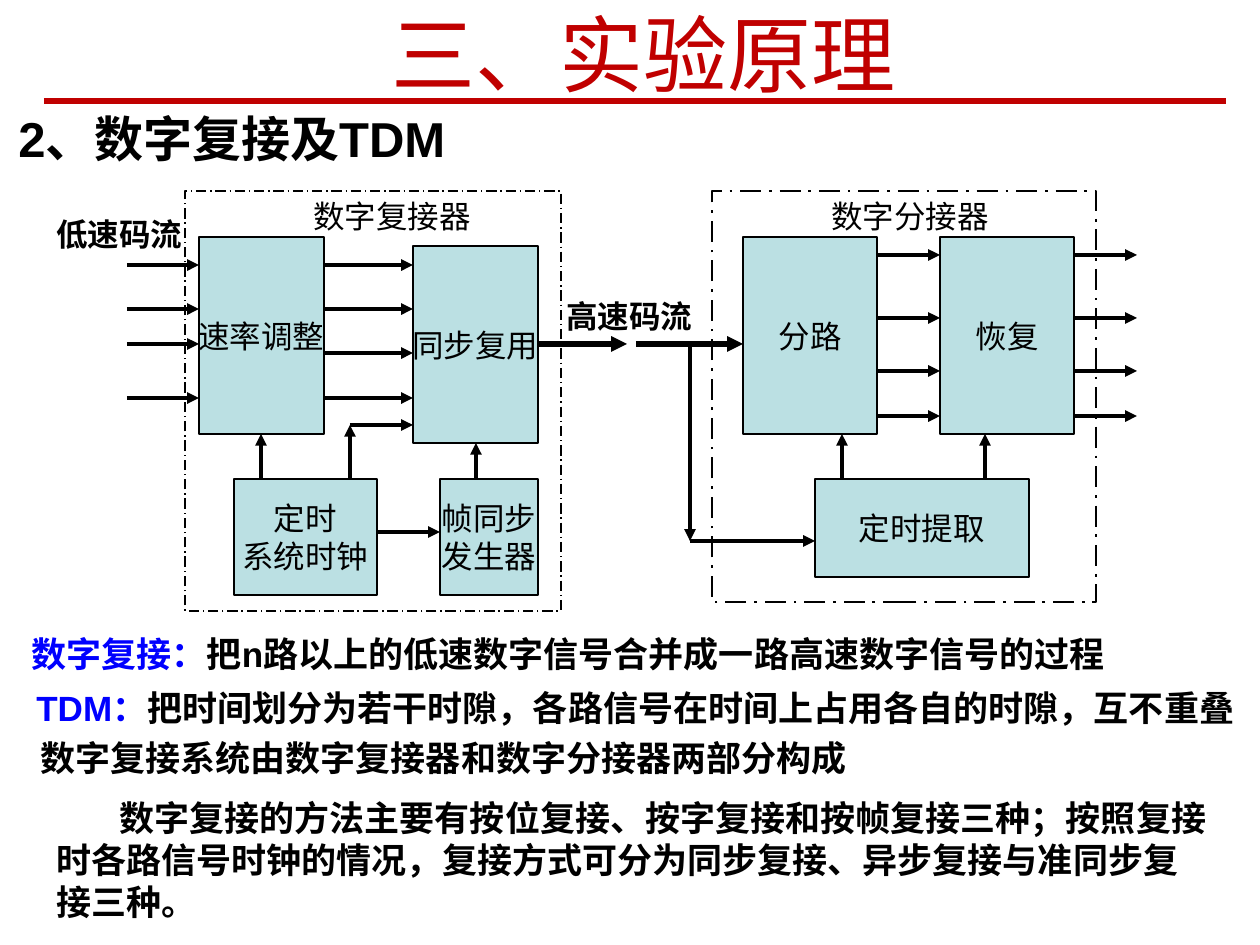
from lxml.etree import SubElement
from pptx import Presentation
from pptx.dml.color import RGBColor
from pptx.enum.dml import MSO_LINE
from pptx.enum.lang import MSO_LANGUAGE_ID
from pptx.enum.shapes import MSO_CONNECTOR, MSO_SHAPE
from pptx.enum.text import MSO_ANCHOR, MSO_AUTO_SIZE, PP_ALIGN
from pptx.oxml.ns import qn
from pptx.util import Emu, Pt

SCALE = 914400 / 126
COLORS = {"ink": "000000", "block": "BBE0E3", "title": "C00000", "term": "0000FF"}
CJK_FONT = "Noto Sans CJK SC"


def px(length):
    return Emu(round(length * SCALE))


def color(name):
    return RGBColor.from_string(COLORS[name])


def style_run(span, size, ink="ink", bold=False, font="Arial"):
    span.font.name = font
    span.font.size = Pt(size)
    span.font.bold = bold
    span.font.color.rgb = color(ink)
    span.font.language_id = MSO_LANGUAGE_ID.SIMPLIFIED_CHINESE
    SubElement(span.font._element, qn("a:ea"), typeface=CJK_FONT)


def add_text(page, box, parts, size, bold=False, wrap=True, anchor=MSO_ANCHOR.TOP):
    """Add one paragraph from (wording, colour name) parts."""
    label = page.shapes.add_textbox(*map(px, box))
    frame = label.text_frame
    frame.word_wrap = wrap
    frame.auto_size = MSO_AUTO_SIZE.SHAPE_TO_FIT_TEXT
    frame.vertical_anchor = anchor
    para = frame.paragraphs[0]
    for wording, ink in parts:
        span = para.add_run()
        span.text = wording
        style_run(span, size, ink, bold)
    return para


def add_label(page, box, wording, bold=False):
    add_text(page, box, [(wording, "ink")], 18, bold, wrap=False)


def add_line(page, start, end, width=2.25, ink="ink", arrow=True):
    line = page.shapes.add_connector(MSO_CONNECTOR.STRAIGHT, *map(px, (*start, *end)))
    line.line.width = Pt(width)
    line.line.color.rgb = color(ink)
    if arrow:
        SubElement(line.line._get_or_add_ln(), qn("a:tailEnd"), type="triangle")
    SubElement(line._element.spPr, qn("a:effectLst"))


def add_rectangle(page, box, width):
    shape = page.shapes.add_shape(MSO_SHAPE.RECTANGLE, *map(px, box))
    shape.shadow.inherit = False
    shape.line.color.rgb = color("ink")
    shape.line.width = Pt(width)
    return shape


def add_block(page, box, wording):
    block = add_rectangle(page, box, 0.75)
    block.fill.solid()
    block.fill.fore_color.rgb = color("block")
    frame = block.text_frame
    frame.text = wording
    frame.word_wrap = False
    frame.vertical_anchor = MSO_ANCHOR.MIDDLE
    for para in frame.paragraphs:
        para.alignment = PP_ALIGN.CENTER
        for span in para.runs:
            style_run(span, 18)


def add_unit(page, box, border, blocks, arrows, labels):
    """Draw a dashed unit; its parts are measured from the corner of the box."""
    left, top = box[:2]
    for x, y, width, height, wording in blocks:
        add_block(page, (left + x, top + y, width, height), wording)
    for x1, y1, x2, y2, weight in arrows:
        add_line(page, (left + x1, top + y1), (left + x2, top + y2), weight)
    for x, y, width, wording, bold in labels:
        add_label(page, (left + x, top + y, width, 50), wording, bold)
    outline = add_rectangle(page, box, border)
    outline.fill.background()
    outline.line.dash_style = MSO_LINE.LONG_DASH_DOT


def across(x1, x2, rows, weight=2.25):
    return [(x1, y, x2, y, weight) for y in rows]


def upright(x, y1, y2):
    return (x, y1, x, y2, 2.25)


def add_multiplexer(page, box):
    blocks = [(14, 46, 125, 197, "速率调整"), (228, 55, 125, 197, "同步复用"),
              (49, 288, 143, 116, "定时\n系统时钟"), (255, 288, 98, 116, "帧同步\n发生器")]
    arrows = [*across(-58, 14, (74, 118, 153, 207)),
              *across(139, 228, (74, 118, 162, 207)),
              *across(353, 442, [153], 3),
              upright(76, 288, 243), upright(165, 288, 234),
              *across(165, 228, [234]), *across(193, 255, [341]),
              upright(291, 288, 252)]
    labels = [(-141, 18, 151, "低速码流", True), (369, 100, 151, "高速码流", True),
              (116, 0, 183, "数字复接器", False)]
    add_unit(page, box, 0.75, blocks, arrows, labels)


def add_demultiplexer(page, box):
    blocks = [(31, 46, 134, 197, "分路"), (228, 46, 134, 197, "恢复"),
              (103, 288, 214, 98, "定时提取")]
    channels = (64, 127, 180, 225)
    arrows = [*across(-76, 31, [153], 3), upright(-22, 153, 350),
              *across(-22, 103, [350]),
              upright(130, 288, 243), upright(273, 288, 243),
              *across(165, 228, channels), *across(362, 425, channels)]
    add_unit(page, box, 1.5, blocks, arrows, [(107, 0, 183, "数字分接器", False)])


def add_heading(page, box):
    left, top, width, height = box
    title = page.shapes.title
    title.left, title.top, title.width, title.height = map(px, box)
    frame = title.text_frame
    frame.text = "三、实验原理"
    frame.auto_size = MSO_AUTO_SIZE.NONE
    frame.vertical_anchor = MSO_ANCHOR.TOP
    frame.paragraphs[0].alignment = PP_ALIGN.CENTER
    style_run(frame.paragraphs[0].runs[0], 48, "title", font=CJK_FONT)
    rule = top + 105
    add_line(page, (left - 20, rule), (left + width + 2, rule), 3, "title", arrow=False)
    add_text(page, (left - 58, top + 106, 500, 72), [("2、数字复接及TDM", "ink")], 28, True)


def add_explanation(page, box):
    left, top, width, height = box
    statements = [
        (0, 0, 1150, [("数字复接：", "term"),
                      ("把n路以上的低速数字信号合并成一路高速数字信号的过程", "ink")]),
        (5, 54, 1250, [("TDM：", "term"),
                       ("把时间划分为若干时隙，各路信号在时间上占用各自的时隙，互不重叠", "ink")]),
        (9, 104, 860, [("数字复接系统由数字复接器和数字分接器两部分构成", "ink")]),
    ]
    for x, y, length, parts in statements:
        add_text(page, (left + x, top + y, length, 55), parts, 20, True,
                 anchor=MSO_ANCHOR.MIDDLE)
    methods = ("数字复接的方法主要有按位复接、按字复接和按帧复接三种；按照复接时各路信号时钟的情况，"
               "复接方式可分为同步复接、异步复接与准同步复接三种。")
    para = add_text(page, (left + 25, top + 164, width - 25, height - 164),
                    [(methods, "ink")], 20, True)
    para._p.get_or_add_pPr().set("indent", str(px(63)))


def main():
    deck = Presentation()
    deck.slide_width, deck.slide_height = px(1260), px(945)
    page = deck.slides.add_slide(deck.slide_layouts[5])
    add_heading(page, (64, -4, 1160, 115))
    add_multiplexer(page, (185, 191, 376, 420))
    add_demultiplexer(page, (712, 191, 384, 411))
    add_explanation(page, (19, 626, 1206, 303))
    deck.save("out.pptx")


if __name__ == "__main__":
    main()
